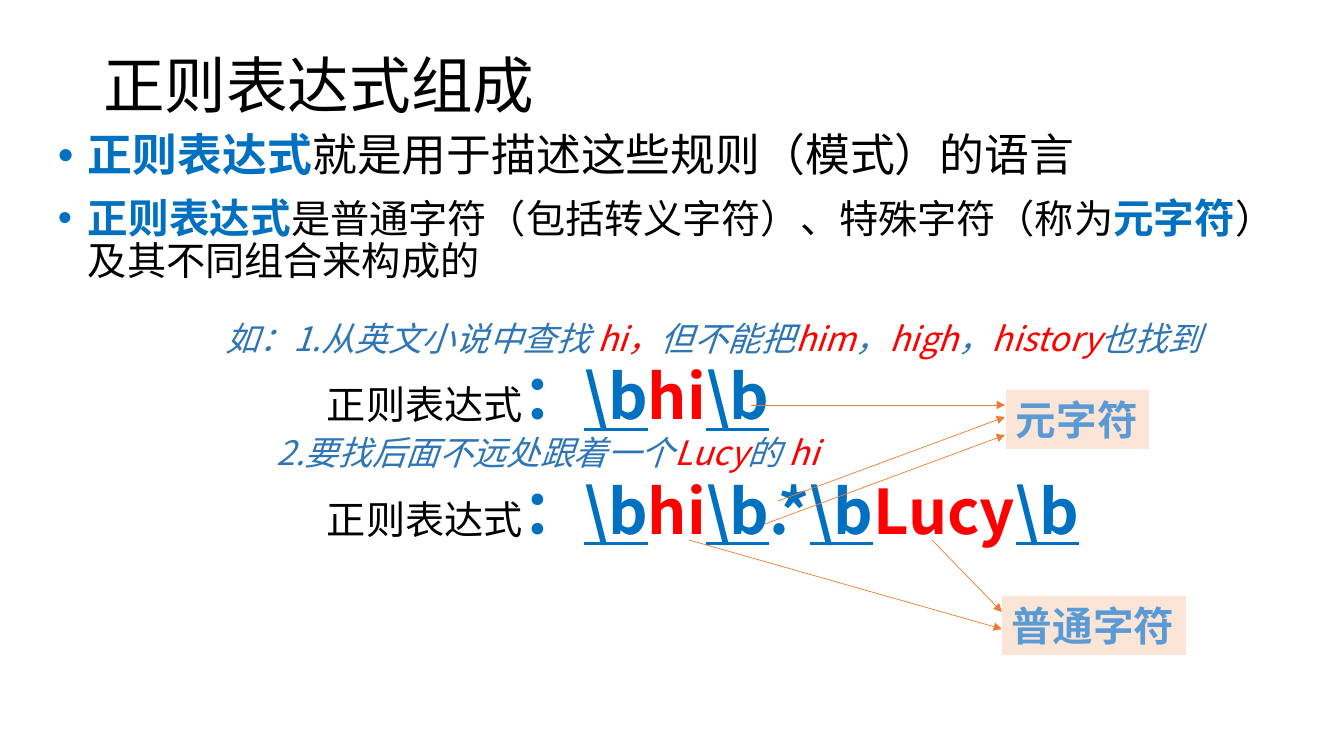
import pptx
import pptx.util
import pptx.dml.color
import pptx.enum.shapes
import pptx.enum.text
import pptx.oxml.ns
from dataclasses import dataclass
from lxml import etree

EMU_PER_PX = 914400 / 100.8
ANCHOR = pptx.enum.text.MSO_ANCHOR
AUTOFIT = pptx.enum.text.MSO_AUTO_SIZE
LEFT = pptx.enum.text.PP_ALIGN.LEFT


@dataclass(frozen=True)
class Theme:
    """Font, colours and type sizes of the slide."""
    font: str = "Noto Sans CJK SC"
    black: str = "000000"
    blue: str = "0070C0"
    red: str = "FF0000"
    example: str = "2E75B6"
    label: str = "5B9BD5"
    label_fill: str = "FBE5D6"
    arrow: str = "ED7D31"
    title: int = 44
    lead: int = 32
    term: int = 29
    body: int = 28
    task: int = 24
    pattern: int = 44


T = Theme()
TITLE = dict(size=T.title, color=T.black)
LEAD_TERM = dict(size=T.lead, color=T.blue, bold=True)
LEAD = dict(size=T.lead, color=T.black)
TERM = dict(size=T.term, color=T.blue, bold=True)
BODY = dict(size=T.body, color=T.black)
TASK = dict(size=T.task, color=T.example, italic=True)
TASK_WORD = dict(TASK, color=T.red)
SYMBOL = dict(size=T.pattern, color=T.blue, bold=True)
META = dict(SYMBOL, underline=True)
LITERAL = dict(SYMBOL, color=T.red)
LABEL = dict(size=T.term, color=T.label, bold=True)

BOUNDARY = ("\\b", META)
PATTERN_START = [("正则表达式", BODY), ("：", SYMBOL), BOUNDARY, ("hi", LITERAL), BOUNDARY]
BULLETS = [
    [("正则表达式", LEAD_TERM), ("就是用于描述这些规则（模式）的语言", LEAD)],
    [("正则表达式", TERM), ("是普通字符（包括转义字符）、特殊字符（称为", BODY),
     ("元字符", TERM), ("）及其不同组合来构成的", BODY)],
]
EXAMPLES = [  # left indent, runs
    (0, [("如：1.从英文小说中查找 ", TASK), ("hi，", TASK_WORD), ("但不能把", TASK),
         ("him", TASK_WORD), ("，", TASK), ("high", TASK_WORD), ("，", TASK),
         ("history", TASK_WORD), ("也找到", TASK)]),
    (101, PATTERN_START),
    (51, [("2.要找后面不远处跟着一个", TASK), ("Lucy", TASK_WORD), ("的 ", TASK),
          ("hi", TASK_WORD)]),
    (101, PATTERN_START + [(".*", SYMBOL), BOUNDARY, ("Lucy", LITERAL), BOUNDARY]),
]
ARROWS = [  # from x, y to x, y
    (751, 405, 1005, 405), (765, 524, 1005, 435), (778, 501, 1005, 417),
    (932, 540, 1002, 612), (689, 540, 1002, 629),
]
LABELS = [("元字符", (1006, 390, 143, 59)), ("普通字符", (1002, 596, 184, 59))]


def px(*values):
    """Turn pixels into EMU lengths."""
    return [pptx.util.Emu(round(v * EMU_PER_PX)) for v in values]


def rgb(color):
    """Turn a hex string into a colour."""
    return pptx.dml.color.RGBColor.from_string(color)


def add_xml(parent, tag, **attrs):
    """Append a DrawingML element."""
    return etree.SubElement(parent, pptx.oxml.ns.qn(tag), attrs)


def add_run(p, text, color, size, bold=False, italic=False, underline=False):
    """Add one formatted run to a paragraph."""
    r = p.add_run()
    r.text = text
    values = dict(name=T.font, size=pptx.util.Pt(size), bold=bold, italic=italic,
                  underline=underline)
    for name, value in values.items():
        setattr(r.font, name, value)
    r.font.color.rgb = rgb(color)
    add_xml(r.font._element, "a:ea", typeface=T.font)


def fill_text(tf, paragraphs, frame=None, spacing=None):
    """Write paragraphs of (text, style) runs and return them."""
    for name, value in (frame or {}).items():
        setattr(tf, name, value)
    written = []
    for i, runs in enumerate(paragraphs):
        p = tf.paragraphs[0] if i == 0 else tf.add_paragraph()
        for name, value in dict(alignment=LEFT, **(spacing or {})).items():
            setattr(p, name, value)
        for text, style in runs:
            add_run(p, text, **style)
        written.append(p)
    return written


def set_indent(p, left, first=0):
    """Set left and first-line indents; return the paragraph properties."""
    pPr = p._p.get_or_add_pPr()
    for name, value in zip(("marL", "indent"), px(left, first)):
        pPr.set(name, str(value))
    return pPr


def set_title(s, text, box):
    """Place and fill the title placeholder."""
    sp = s.shapes.title
    sp.left, sp.top, sp.width, sp.height = px(*box)
    frame = dict(vertical_anchor=ANCHOR.MIDDLE, auto_size=AUTOFIT.NONE)
    fill_text(sp.text_frame, [[(text, TITLE)]], frame, dict(line_spacing=0.9))


def add_bullets(s, paragraphs, box):
    """Add a bulleted text box."""
    tf = s.shapes.add_textbox(*px(*box)).text_frame
    margin_x, margin_y = px(12, 6)
    frame = dict(word_wrap=True, margin_left=margin_x, margin_right=margin_x,
                 margin_top=margin_y, margin_bottom=margin_y)
    spacing = dict(line_spacing=0.9, space_before=pptx.util.Pt(11.9))
    for p in fill_text(tf, paragraphs, frame, spacing):
        pPr = set_indent(p, 30, -30)
        add_xml(pPr, "a:buFont", typeface="Arial")
        add_xml(pPr, "a:buChar", char="•")


def add_examples(s, examples, box):
    """Add the tasks and their patterns, each with its own indent."""
    tf = s.shapes.add_textbox(*px(*box)).text_frame
    frame = dict(word_wrap=True, auto_size=AUTOFIT.SHAPE_TO_FIT_TEXT)
    paragraphs = fill_text(tf, [runs for _, runs in examples], frame)
    for p, (left, _) in zip(paragraphs, examples):
        set_indent(p, left)


def add_arrow(s, ends):
    """Add a thin straight arrow."""
    kind = pptx.enum.shapes.MSO_CONNECTOR.STRAIGHT
    cxn = s.shapes.add_connector(kind, *px(*ends))
    cxn.line.color.rgb = rgb(T.arrow)
    cxn.line.width = pptx.util.Pt(0.5)
    add_xml(cxn.line._get_or_add_ln(), "a:tailEnd", type="triangle")
    add_xml(cxn._element.spPr, "a:effectLst")


def add_label(s, text, box):
    """Add a tinted label box."""
    sp = s.shapes.add_shape(pptx.enum.shapes.MSO_SHAPE.RECTANGLE, *px(*box))
    sp.shadow.inherit = False
    sp.fill.solid()
    sp.fill.fore_color.rgb = rgb(T.label_fill)
    sp.line.fill.background()
    frame = dict(word_wrap=False, vertical_anchor=ANCHOR.TOP,
                 auto_size=AUTOFIT.SHAPE_TO_FIT_TEXT)
    fill_text(sp.text_frame, [[(text, LABEL)]], frame)


def main():
    """Build the slide and save it."""
    prs = pptx.Presentation()
    prs.slide_width, prs.slide_height = px(1344, 756)
    s = prs.slides.add_slide(prs.slide_layouts.get_by_name("Title Only"))
    set_title(s, "正则表达式组成", (93, 16, 1159, 146))
    add_bullets(s, BULLETS, (46, 127, 1274, 185))
    add_examples(s, EXAMPLES, (216, 313, 1006, 316))
    for ends in ARROWS:
        add_arrow(s, ends)
    for text, box in LABELS:
        add_label(s, text, box)
    prs.save("out.pptx")


main()
